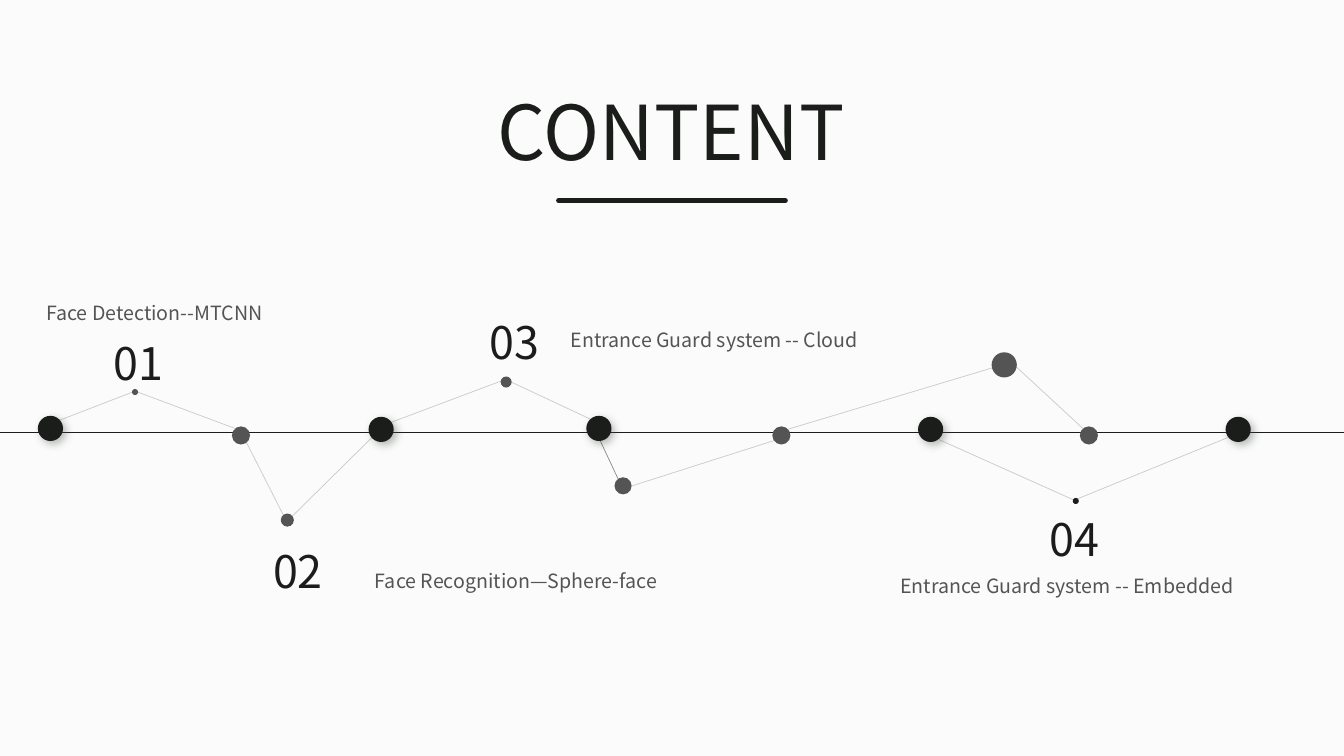
from lxml import etree
from pptx import Presentation
from pptx.dml.color import RGBColor
from pptx.enum.shapes import MSO_CONNECTOR, MSO_SHAPE
from pptx.enum.text import MSO_AUTO_SIZE, PP_ALIGN
from pptx.oxml import parse_xml
from pptx.oxml.ns import nsdecls, qn
from pptx.util import Inches, Pt

INK = RGBColor(0x1A, 0x1D, 0x1A)
GREY = RGBColor(0x54, 0x54, 0x54)
PAPER = RGBColor(0xFB, 0xFB, 0xFB)
FONT = "Noto Sans CJK SC"
WIDTH, HEIGHT = 13.33, 7.5
AXIS_Y = 4.29
NUMBER_WIDTH, NUMBER_HEIGHT = 1.93, 0.64
CAPTION_HEIGHT = 0.34

SOFT_SHADOW = (
    f'<a:effectLst {nsdecls("a")}>'
    '<a:outerShdw blurRad="76200" dist="38100" dir="2700000" algn="tl" rotWithShape="0">'
    '<a:srgbClr val="505950"><a:alpha val="40000"/></a:srgbClr>'
    '</a:outerShdw></a:effectLst>'
)

prs = Presentation()
prs.slide_width, prs.slide_height = Inches(WIDTH), Inches(HEIGHT)
slide = prs.slides.add_slide(prs.slide_layouts[6])
slide.background.fill.solid()
slide.background.fill.fore_color.rgb = PAPER


def add_line(start, end, weight, opacity=100):
    """Draw an ink line; opacity is a percentage."""
    line = slide.shapes.add_connector(
        MSO_CONNECTOR.STRAIGHT, *map(Inches, (*start, *end)))
    line.line.width = Pt(weight)
    line.line.color.rgb = INK
    props = line._element.spPr
    if opacity < 100:
        colour = props.find(".//" + qn("a:srgbClr"))
        etree.SubElement(colour, qn("a:alpha"), val=str(opacity * 1000))
    etree.SubElement(props, qn("a:effectLst"))
    return line


def add_text(text, left, top, width, height, size, colour, wrap=False, align=None):
    box = slide.shapes.add_textbox(*map(Inches, (left, top, width, height)))
    frame = box.text_frame
    frame.word_wrap = wrap
    frame.auto_size = MSO_AUTO_SIZE.SHAPE_TO_FIT_TEXT
    paragraph = frame.paragraphs[0]
    paragraph.alignment = align
    run = paragraph.add_run()
    run.text = text
    run.font.name = FONT
    run.font.size = Pt(size)
    run.font.color.rgb = colour


# Title and timeline axis
add_text("CONTENT", 4.84, 0.79, 3.65, 1.01, 54, INK)
underline = add_line((5.54, 1.99), (7.79, 1.99), 3.5)
underline.line._get_or_add_ln().set("cap", "rnd")
add_line((0, AXIS_Y), (WIDTH, AXIS_Y), 0.75)

# Main stops on the axis: centre x, centre y
for x, y in [(0.5, 4.25), (3.78, 4.26), (5.94, 4.25), (9.23, 4.26), (12.28, 4.26)]:
    stop = slide.shapes.add_shape(
        MSO_SHAPE.OVAL, *map(Inches, (x - 0.125, y - 0.125, 0.25, 0.25)))
    stop.fill.solid()
    stop.fill.fore_color.rgb = INK
    stop.line.fill.background()
    stop._element.spPr.append(parse_xml(SOFT_SHADOW))

# Thin links: start, end, opacity
links = [
    ((0.59, 4.17), (1.34, 3.88), 21),
    ((1.34, 3.88), (2.33, 4.25), 21),
    ((2.44, 4.38), (2.81, 5.11), 21),
    ((2.9, 5.12), (3.69, 4.34), 21),
    ((3.88, 4.19), (4.97, 3.78), 21),
    ((5.86, 4.16), (5.07, 3.79), 21),
    ((5.91, 4.28), (6.13, 4.75), 51),
    ((7.68, 4.37), (6.27, 4.82), 21),
    ((9.84, 3.65), (7.81, 4.26), 21),
    ((10.74, 4.25), (10.08, 3.64), 21),
    ((10.65, 4.96), (9.31, 4.36), 21),
    ((12.18, 4.34), (10.66, 4.96), 21),
]
for start, end, opacity in links:
    add_line(start, end, 0.5, opacity)

# Minor dots: centre x, centre y, diameter, colour
minor_dots = [
    (2.39, 4.32, 0.18, GREY),
    (7.75, 4.32, 0.18, GREY),
    (10.8, 4.32, 0.18, GREY),
    (2.85, 5.16, 0.13, GREY),
    (5.02, 3.79, 0.11, GREY),
    (6.18, 4.82, 0.17, GREY),
    (9.96, 3.62, 0.25, GREY),
    (1.34, 3.89, 0.06, GREY),
    (10.67, 4.97, 0.06, INK),
]
for x, y, size, colour in minor_dots:
    dot = slide.shapes.add_shape(
        MSO_SHAPE.OVAL, *map(Inches, (x - size / 2, y - size / 2, size, size)))
    dot.shadow.inherit = False
    dot.fill.solid()
    dot.fill.fore_color.rgb = colour
    dot.line.fill.background()

# Chapters: number position, caption, caption position, width and wrapping
chapters = [
    ((0.41, 3.28), "Face Detection--MTCNN", (0.36, 2.94), 3.62, True),
    ((1.99, 5.34), "Face Recognition—Sphere-face", (3.62, 5.59), 3.3, False),
    ((4.14, 3.07), "Entrance Guard system -- Cloud", (5.56, 3.2), 3.22, False),
    ((9.69, 5.03), "Entrance Guard system -- Embedded", (8.83, 5.64), 3.72, False),
]
for index, (number_at, caption, caption_at, width, wrap) in enumerate(chapters, 1):
    add_text(f"{index:02}", *number_at, NUMBER_WIDTH, NUMBER_HEIGHT, 32, INK,
             wrap=True, align=PP_ALIGN.CENTER)
    add_text(caption, *caption_at, width, CAPTION_HEIGHT, 14, GREY, wrap=wrap)

prs.save("out.pptx")
